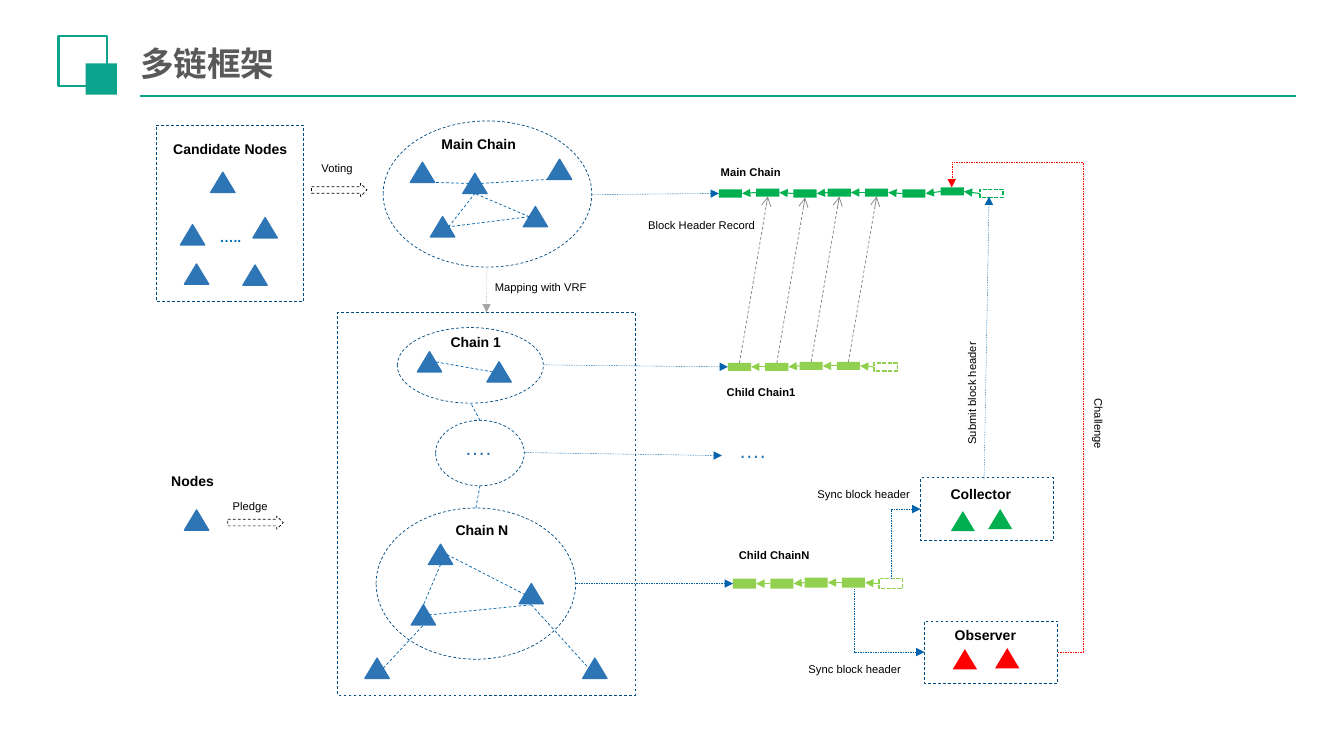
from lxml.etree import SubElement
from pptx import Presentation
from pptx.dml.color import RGBColor
from pptx.enum.dml import MSO_LINE
from pptx.enum.shapes import MSO_CONNECTOR, MSO_SHAPE
from pptx.enum.text import MSO_ANCHOR, MSO_AUTO_SIZE, PP_ALIGN
from pptx.oxml.ns import qn
from pptx.util import Inches, Pt

TEAL = RGBColor(0x0C, 0xA4, 0x8D)
WHITE = RGBColor(0xFF, 0xFF, 0xFF)
BLACK = RGBColor(0x00, 0x00, 0x00)
TITLE_GREY = RGBColor(0x59, 0x59, 0x59)
NODE_BLUE = RGBColor(0x2E, 0x75, 0xB6)
LINK_BLUE = RGBColor(0x00, 0x63, 0xAC)
FRAME_BLUE = RGBColor(0x00, 0x4B, 0x82)
DOTS_BLUE = RGBColor(0x00, 0x70, 0xC0)
GREEN = RGBColor(0x00, 0xB0, 0x50)
LIGHT_GREEN = RGBColor(0x92, 0xD0, 0x50)
ARROW_GREEN = RGBColor(0x8F, 0xCF, 0x4B)
RED = RGBColor(0xFF, 0x00, 0x00)
GREY = RGBColor(0x80, 0x80, 0x80)
LIGHT_GREY = RGBColor(0xA6, 0xA6, 0xA6)

presentation = Presentation()
presentation.slide_width = Inches(13.33)
presentation.slide_height = Inches(7.5)
slide = presentation.slides.add_slide(presentation.slide_layouts[5])


def add_shape(kind, left, top, width, height, fill=None, line=None, weight=0.5, dash=None):
    shape = slide.shapes.add_shape(kind, Inches(left), Inches(top), Inches(width), Inches(height))
    shape.shadow.inherit = False
    if fill is None:
        shape.fill.background()
    else:
        shape.fill.solid()
        shape.fill.fore_color.rgb = fill
    if line is None:
        shape.line.fill.background()
    else:
        shape.line.color.rgb = line
        shape.line.width = Pt(weight)
        shape.line.dash_style = dash
    return shape


def add_text(text, left, top, width, height, size=8, bold=False, color=BLACK, rotation=0, wrap=True):
    box = slide.shapes.add_textbox(Inches(left), Inches(top), Inches(width), Inches(height))
    box.rotation = rotation
    frame = box.text_frame
    frame.word_wrap = wrap
    frame.auto_size = MSO_AUTO_SIZE.SHAPE_TO_FIT_TEXT
    run = frame.paragraphs[0].add_run()
    run.text = text
    run.font.name = "Arial"
    run.font.size = Pt(size)
    run.font.bold = bold
    run.font.color.rgb = color


# Heading
add_shape(MSO_SHAPE.RECTANGLE, 0.58, 0.36, 0.48, 0.49, WHITE, TEAL, 1.5)
add_shape(MSO_SHAPE.RECTANGLE, 0.85, 0.63, 0.31, 0.31, TEAL)
title = slide.shapes.title
title.left, title.top, title.width, title.height = map(Inches, (1.32, 0.39, 8.6, 0.48))
frame = title.text_frame
frame.vertical_anchor = MSO_ANCHOR.MIDDLE
frame.margin_left = frame.margin_right = Inches(0.07)
frame.margin_top = frame.margin_bottom = Inches(0.04)
frame.text = "多链框架"
frame.paragraphs[0].alignment = PP_ALIGN.LEFT
title_font = frame.paragraphs[0].runs[0].font
title_font.name = "Noto Sans CJK SC"
title_font.size = Pt(24)
title_font.bold = True
title_font.color.rgb = TITLE_GREY
SubElement(frame.paragraphs[0].runs[0].font._element, qn("a:ea")).set("typeface", "Noto Sans CJK SC")

# Nodes
nodes = {
    NODE_BLUE: [
        (2.09, 1.71), (1.79, 2.23), (2.51, 2.16), (1.83, 2.62), (2.41, 2.63),
        (4.07, 1.61), (5.43, 1.58), (4.59, 1.72), (4.27, 2.15), (5.19, 2.05),
        (4.14, 3.49), (4.83, 3.59),
        (4.25, 5.4), (5.15, 5.79), (4.08, 6), (3.62, 6.53), (5.78, 6.53),
        (1.83, 5.06),
    ],
    GREEN: [(9.43, 5.07), (9.8, 5.05)],
    RED: [(9.45, 6.44), (9.87, 6.43)],
}
for color, places in nodes.items():
    for left, top in places:
        add_shape(MSO_SHAPE.ISOSCELES_TRIANGLE, left, top, 0.24, 0.2, color,
                  NODE_BLUE if color == NODE_BLUE else None, 1)

# Dashed frames
for place in [(3.8, 1.2, 2.07, 1.45), (3.94, 3.25, 1.45, 0.75),
              (4.32, 4.17, 0.88, 0.65), (3.73, 5.04, 1.98, 1.5)]:
    add_shape(MSO_SHAPE.OVAL, *place, line=FRAME_BLUE, dash=MSO_LINE.DASH)
for place in [(1.55, 1.24, 1.46, 1.75), (9.13, 4.74, 1.32, 0.62), (9.17, 6.16, 1.32, 0.62)]:
    add_shape(MSO_SHAPE.RECTANGLE, *place, line=FRAME_BLUE, dash=MSO_LINE.DASH)
chains_frame = add_shape(MSO_SHAPE.RECTANGLE, 3.35, 3.1, 2.95, 3.8,
                         line=FRAME_BLUE, dash=MSO_LINE.DASH)
for left, top in [(3.09, 1.82), (2.26, 5.12)]:
    add_shape(MSO_SHAPE.RIGHT_ARROW, left, top, 0.55, 0.13, line=BLACK, dash=MSO_LINE.DASH)

# Lines: begin, end, colour, weight, dashed, arrowhead; an end is a point or a (shape, side)
TO_BEGIN, TO_END, OPEN_END = ("headEnd", "triangle"), ("tailEnd", "triangle"), ("tailEnd", "arrow")
TOP, LEFT, BOTTOM, RIGHT = range(4)
lines = [((1.39, 0.95), (12.85, 0.95), TEAL, 1.25, False, None)]

# Block chains, the last block of each is still pending
BLOCK_WIDTH = 0.23
main_places = [(7.13, 1.88), (7.5, 1.87), (7.87, 1.88), (8.21, 1.87),
               (8.58, 1.87), (8.95, 1.88), (9.33, 1.86), (9.72, 1.88)]
child_offsets = [(0, 0), (0.37, 0), (0.71, -0.01), (1.08, -0.01), (1.45, 0)]
chains = []
for places, height, color, arrow_color in [
    (main_places, 0.08, GREEN, GREEN),
    ([(7.22 + x, 3.6 + y) for x, y in child_offsets], 0.08, LIGHT_GREEN, ARROW_GREEN),
    ([(7.27 + x, 5.74 + y) for x, y in child_offsets], 0.1, LIGHT_GREEN, ARROW_GREEN),
]:
    blocks = [add_shape(MSO_SHAPE.RECTANGLE, *place, BLOCK_WIDTH, height, color) for place in places[:-1]]
    blocks.append(add_shape(MSO_SHAPE.RECTANGLE, *places[-1], BLOCK_WIDTH, height,
                            line=color, weight=1, dash=MSO_LINE.SQUARE_DOT))
    for previous, following in zip(blocks, blocks[1:]):
        lines.append(((following, LEFT), (previous, RIGHT), arrow_color, 0.75, False, TO_END))
    chains.append(blocks)
main_chain, child_chain_1, child_chain_n = chains

for child, parent in zip(child_chain_1[:4], main_chain[1:5]):
    lines.append(((child, TOP), (parent, BOTTOM), GREY, 0.5, True, OPEN_END))

for begin, end in [
    ((main_chain[0], LEFT), (5.86, 1.93)), ((child_chain_1[0], LEFT), (5.39, 3.62)),
    ((7.16, 4.52), (5.2, 4.49)), ((child_chain_n[0], LEFT), (5.7, 5.79)),
    ((9.81, 1.95), (9.76, 4.77)),
]:
    lines.append((begin, end, LINK_BLUE, 0.25, True, TO_BEGIN))
lines.append(((chains_frame, TOP), (4.83, 2.65), LIGHT_GREY, 0.25, True, TO_BEGIN))

for begin, end in [
    ((4.45, 2.25), (4.71, 1.92)), ((5.25, 2.15), (4.45, 2.25)), ((5.25, 2.15), (4.71, 1.92)),
    ((4.77, 1.82), (5.43, 1.78)), ((4.65, 1.82), (4.31, 1.81)), ((4.89, 3.69), (4.32, 3.59)),
    ((4.76, 4.17), (4.67, 4)), ((4.72, 5.04), (4.76, 4.82)), ((5.21, 5.9), (4.43, 5.5)),
    ((4.37, 5.6), (4.2, 6)), ((5.27, 6), (4.26, 6.1)), ((5.27, 6), (5.84, 6.63)),
    ((3.8, 6.63), (4.2, 6.2)),
]:
    lines.append((begin, end, LINK_BLUE, 0.5, True, None))

bends = {
    len(lines): ("bentConnector2", []),
    len(lines) + 1: ("bentConnector2", []),
    len(lines) + 2: ("bentConnector4", [-23800, 105400]),
}
lines += [
    ((9.13, 5.05), (8.84, 5.74), LINK_BLUE, 0.25, True, TO_BEGIN),
    ((9.17, 6.47), (8.47, 5.84), LINK_BLUE, 0.25, True, TO_BEGIN),
    ((10.49, 6.47), (9.44, 1.86), RED, 0.25, True, TO_END),
]

for index, (begin, end, color, weight, dashed, arrowhead) in enumerate(lines):
    kind = MSO_CONNECTOR.ELBOW if index in bends else MSO_CONNECTOR.STRAIGHT
    points = [(0, 0) if hasattr(place[0], "shape_id") else place for place in (begin, end)]
    connector = slide.shapes.add_connector(kind, *[Inches(value) for point in points for value in point])
    if hasattr(begin[0], "shape_id"):
        connector.begin_connect(*begin)
    if hasattr(end[0], "shape_id"):
        connector.end_connect(*end)
    connector.line.color.rgb = color
    connector.line.width = Pt(weight)
    properties = connector.element.spPr
    if dashed:
        connector.line.dash_style = MSO_LINE.DASH
    if arrowhead:
        SubElement(properties.find(qn("a:ln")), qn("a:" + arrowhead[0])).set("type", arrowhead[1])
    SubElement(properties, qn("a:effectLst"))
    if index in bends:
        preset, adjustments = bends[index]
        geometry = properties.find(qn("a:prstGeom"))
        geometry.set("prst", preset)
        for number, value in enumerate(adjustments, 1):
            guide = SubElement(geometry.find(qn("a:avLst")), qn("a:gd"))
            guide.set("name", f"adj{number}")
            guide.set("fmla", f"val {value}")

# Labels
for text, left, top, width in [
    ("Candidate Nodes", 1.62, 1.34, 1.37), ("Main Chain", 4.28, 1.3, 0.94),
    ("Chain 1", 4.37, 3.26, 0.94), ("Chain N", 4.42, 5.12, 0.94), ("Nodes", 1.6, 4.64, 0.65),
    ("Collector", 9.33, 4.77, 0.86), ("Observer", 9.37, 6.17, 0.81),
]:
    add_text(text, left, top, width, 0.27, size=10, bold=True)
for text, left, top, width in [
    ("Main Chain", 7.05, 1.59, 0.85), ("Child Chain1", 7.11, 3.77, 1.23), ("Child ChainN", 7.23, 5.39, 1.02),
]:
    add_text(text, left, top, width, 0.24, bold=True)
for text, left, top, width in [
    ("Voting", 3.09, 1.55, 0.54), ("Pledge", 2.21, 4.9, 0.74), ("Mapping with VRF", 4.81, 2.73, 1.17),
    ("Block Header Record", 6.33, 2.12, 1.35), ("Sync block header", 8.01, 4.79, 1.17),
    ("Sync block header", 7.92, 6.52, 1.17),
]:
    add_text(text, left, top, width, 0.24)
add_text("Submit block header", 9, 3.75, 1.28, 0.24, rotation=270)
add_text("Challenge", 10.54, 4.09, 0.71, 0.24, rotation=90, wrap=False)
add_text("…..", 2.08, 2.22, 0.46, 0.27, size=10, bold=True, color=DOTS_BLUE)
add_text("….", 4.51, 4.26, 0.55, 0.35, size=15, color=NODE_BLUE)
add_text("….", 7.23, 4.29, 0.56, 0.25, size=15, color=NODE_BLUE)

presentation.save("out.pptx")
